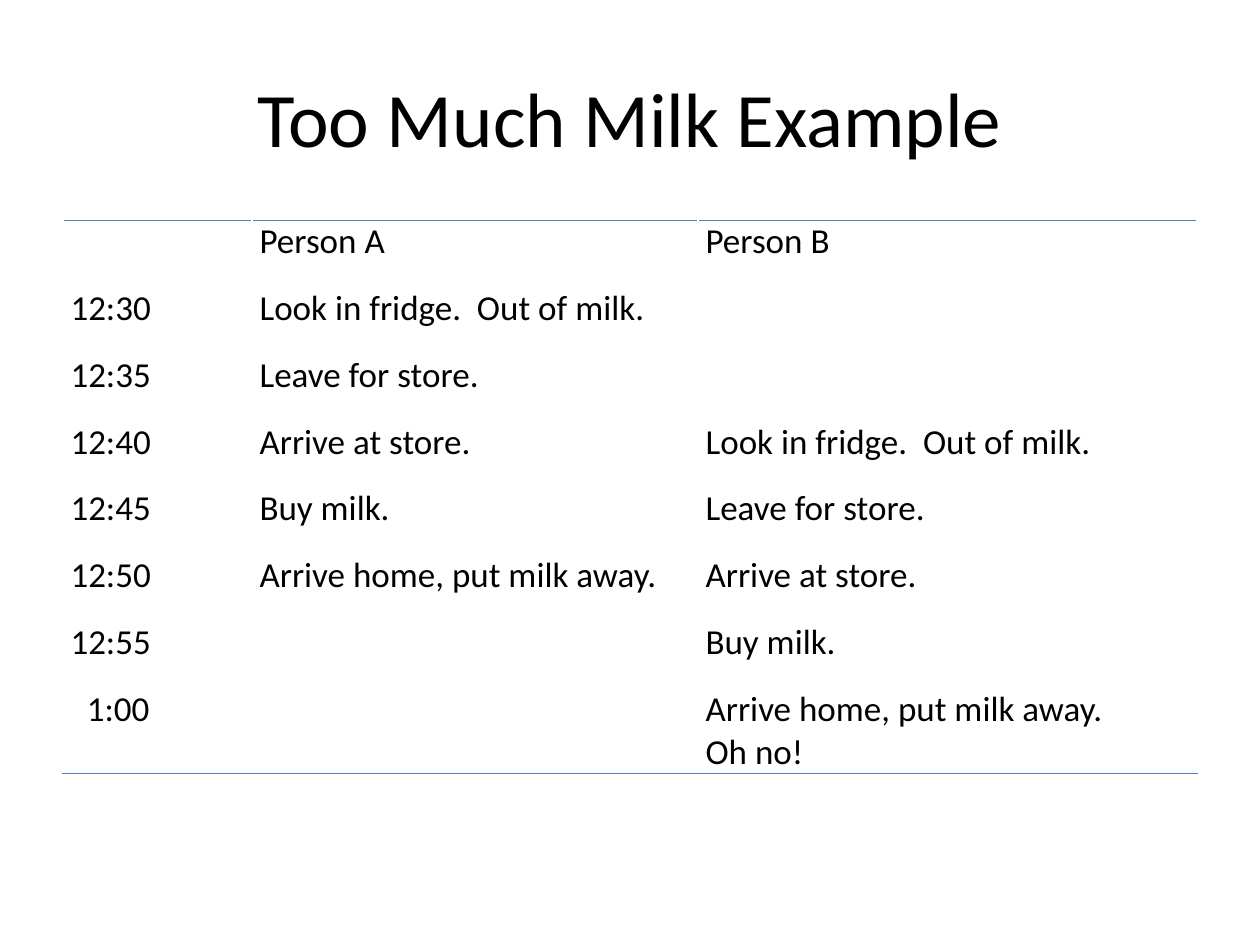
from dataclasses import dataclass

from lxml import etree
from pptx import Presentation
from pptx.dml.color import RGBColor
from pptx.enum import text
from pptx.oxml import ns
from pptx.util import Inches, Pt


@dataclass(frozen=True)
class Theme:
    font: str = "Calibri"
    ink: str = "000000"
    rule: str = "4F81BD"
    rule_width: float = 1
    title_size: int = 44
    table_size: int = 20


THEME = Theme()
COLUMN_WIDTHS = (1.5, 3.54, 3.96)
ROW_HEIGHT = 0.53
LAST_ROW_HEIGHT = 0.68
CELL_MARGIN = 0.06
SHORT_TIME_INDENT = 0.13

TIMELINE = [
    ("", "Person A", "Person B"),
    ("12:30", "Look in fridge.  Out of milk.", ""),
    ("12:35", "Leave for store.", ""),
    ("12:40", "Arrive at store.", "Look in fridge.  Out of milk."),
    ("12:45", "Buy milk.", "Leave for store."),
    ("12:50", "Arrive home, put milk away.", "Arrive at store."),
    ("12:55", "", "Buy milk."),
    ("1:00", "", "Arrive home, put milk away.\nOh no!"),
]


def style_paragraph(paragraph, size, alignment):
    paragraph.alignment = alignment
    paragraph.font.name = THEME.font
    paragraph.font.size = Pt(size)
    paragraph.font.color.rgb = RGBColor.from_string(THEME.ink)


def add_title(slide, wording):
    title = slide.shapes.title
    title.left, title.top = Inches(0.5), Inches(0.3)
    title.width, title.height = Inches(9), Inches(1.25)
    title.text_frame.text = wording
    title.text_frame.vertical_anchor = text.MSO_ANCHOR.MIDDLE
    style_paragraph(title.text_frame.paragraphs[0], THEME.title_size, text.PP_ALIGN.CENTER)


def fill_cell(cell, wording):
    cell.fill.background()
    cell.margin_left = cell.margin_right = Inches(CELL_MARGIN)
    cell.margin_top = cell.margin_bottom = 0
    cell.text = wording
    for paragraph in cell.text_frame.paragraphs:
        style_paragraph(paragraph, THEME.table_size, text.PP_ALIGN.LEFT)


def add_rule(cell, side):
    line = etree.Element(ns.qn(f"a:{side}"), w=str(Pt(THEME.rule_width)))
    fill = etree.SubElement(line, ns.qn("a:solidFill"))
    etree.SubElement(fill, ns.qn("a:srgbClr"), val=THEME.rule)
    cell._tc.get_or_add_tcPr().insert(0, line)


def add_timeline(slide):
    heights = [ROW_HEIGHT] * (len(TIMELINE) - 1) + [LAST_ROW_HEIGHT]
    frame = slide.shapes.add_table(
        len(TIMELINE), len(COLUMN_WIDTHS), Inches(0.5), Inches(1.75),
        Inches(sum(COLUMN_WIDTHS)), Inches(sum(heights)),
    )
    table = frame.table
    table.first_row = table.horz_banding = False
    for column, width in zip(table.columns, COLUMN_WIDTHS):
        column.width = Inches(width)
    for row, height, entries in zip(table.rows, heights, TIMELINE):
        row.height = Inches(height)
        for cell, wording in zip(row.cells, entries):
            fill_cell(cell, wording)
    for top_cell, bottom_cell in zip(table.rows[0].cells, table.rows[len(TIMELINE) - 1].cells):
        add_rule(top_cell, "lnT")
        add_rule(bottom_cell, "lnB")
    table.cell(len(TIMELINE) - 1, 0).margin_left = Inches(CELL_MARGIN + SHORT_TIME_INDENT)


def main():
    presentation = Presentation()
    presentation.slide_width, presentation.slide_height = Inches(10), Inches(7.5)
    slide = presentation.slides.add_slide(presentation.slide_layouts[5])
    add_title(slide, "Too Much Milk Example")
    add_timeline(slide)
    presentation.save("out.pptx")


if __name__ == "__main__":
    main()
